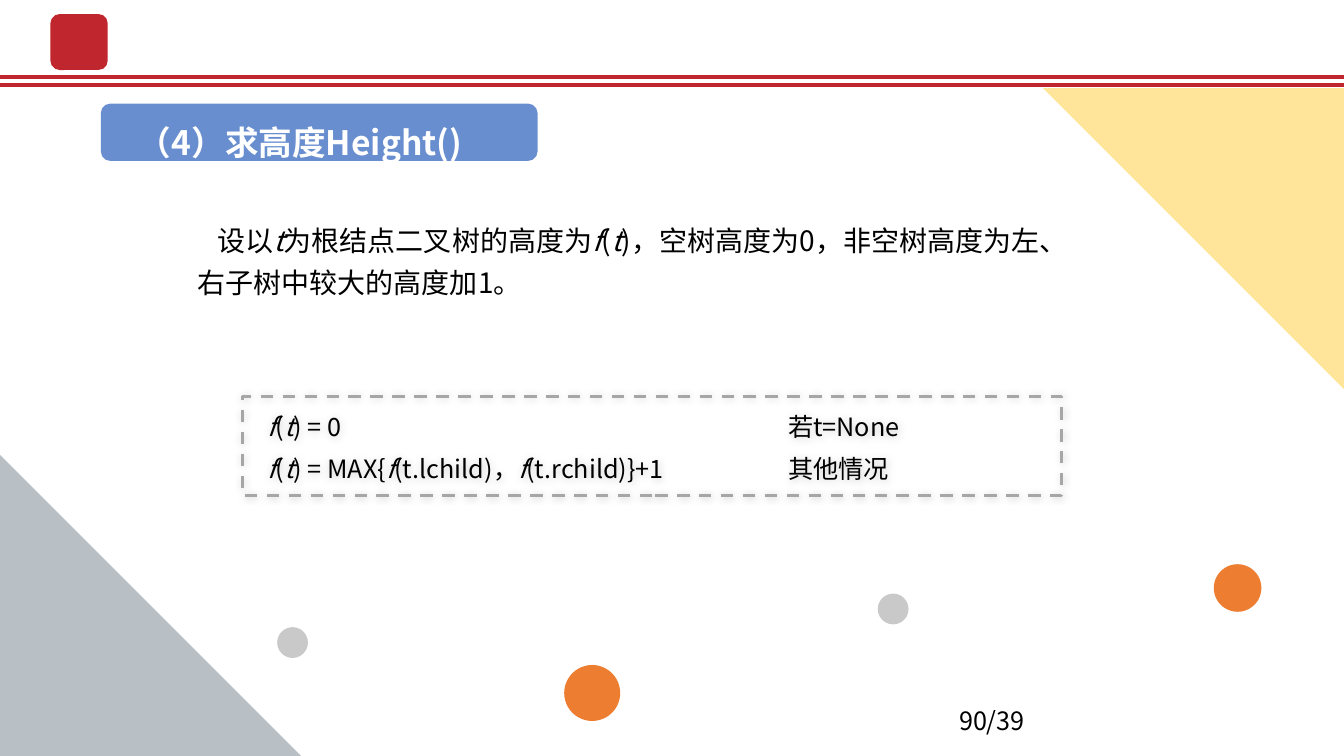
from lxml import etree
from pptx import Presentation
from pptx.dml.color import RGBColor
from pptx.enum import dml, shapes, text
from pptx.oxml.ns import qn
from pptx.util import Pt

RED = RGBColor(0xC0, 0x26, 0x2E)
BLUE = RGBColor(0x44, 0x72, 0xC4)
ORANGE = RGBColor(0xED, 0x7D, 0x31)
GOLD = RGBColor(0xFF, 0xC0, 0x00)
SLATE = RGBColor(0x50, 0x62, 0x70)
SILVER = RGBColor(0xC9, 0xC9, 0xC9)
GREY = RGBColor(0xA6, 0xA6, 0xA6)
BLACK = RGBColor(0, 0, 0)
WHITE = RGBColor(0xFF, 0xFF, 0xFF)
FONT = "Noto Sans CJK SC"
MSO = shapes.MSO_SHAPE
W, H = 960, 540


def sub(parent, tag, **attrs):
    return etree.SubElement(parent, qn(tag), {k: str(v) for k, v in attrs.items()})


def add_shape(s, kind, box, color=None, opacity=100):
    sp = s.shapes.add_shape(kind, *map(Pt, box))
    sp.shadow.inherit = False
    sp.line.fill.background()
    if color is None:
        sp.fill.background()
    else:
        sp.fill.solid()
        sp.fill.fore_color.rgb = color
    if opacity < 100:
        clr = sp._element.spPr.find(".//" + qn("a:srgbClr"))
        sub(clr, "a:alpha", val=opacity * 1000)
    return sp


def add_textbox(s, box):
    tf = s.shapes.add_textbox(*map(Pt, box)).text_frame
    tf.word_wrap = True
    return tf


def write(p, parts, **fmt):
    for i, part in enumerate(parts.split("*")):
        if part:
            r = p.add_run()
            r.text = part
            values = {"name": FONT, "italic": i % 2 == 1, **fmt}
            color = values.pop("color", BLACK)
            for key, value in values.items():
                setattr(r.font, key, value)
            r.font.color.rgb = color
            sub(r._r.get_or_add_rPr(), "a:ea", typeface=FONT)


def header(s, x, y, w, h):
    for line_y in (y + h - 6, y + h):
        line = s.shapes.add_connector(shapes.MSO_CONNECTOR.STRAIGHT,
                                      Pt(x), Pt(line_y), Pt(x + w), Pt(line_y))
        line.line.color.rgb = RED
        line.line.width = Pt(3)
        sub(line._element.spPr, "a:effectLst")
    add_shape(s, MSO.ROUNDED_RECTANGLE, (x + 36, y + 10, 41, 40), RED)


def definition(s, x, y, w, h):
    p = add_textbox(s, (x, y, w, h)).paragraphs[0]
    p._p.get_or_add_pPr().set("indent", str(Pt(14)))
    p.line_spacing = Pt(30)
    write(p, "设以*t*为根结点二叉树的高度为*f*(*t*)，空树高度为0，"
             "非空树高度为左、右子树中较大的高度加1。", size=Pt(20))


def formula(s, x, y, w, h):
    sp = add_shape(s, MSO.RECTANGLE, (x, y, w, h))
    sp.line.color.rgb = GREY
    sp.line.width = Pt(2.25)
    sp.line.dash_style = dml.MSO_LINE.DASH
    effects = sp._element.spPr.find(qn("a:effectLst"))
    shadow = sub(effects, "a:outerShdw", blurRad=Pt(6), dist=0, dir=225 * 60000)
    sub(sub(shadow, "a:srgbClr", val="000000"), "a:alpha", val=20000)
    tf = sp.text_frame
    tf.word_wrap = True
    for side, inset in {"left": 17.5, "top": 8.5, "right": 7, "bottom": 8.5}.items():
        setattr(tf, "margin_" + side, Pt(inset))
    cases = ("*f*(*t*) = 0\t若t=None",
             "*f*(*t*) = MAX{*f*(t.lchild)，*f*(t.rchild)}+1\t其他情况")
    for i, case in enumerate(cases):
        p = tf.add_paragraph() if i else tf.paragraphs[0]
        tabs = sub(p._p.get_or_add_pPr(), "a:tabLst")
        sub(tabs, "a:tab", pos=Pt(372), algn="l")
        p.alignment = text.PP_ALIGN.LEFT
        p.line_spacing = Pt(24)
        if i:
            p.space_before = Pt(6)
        write(p, case, size=Pt(18))


def page_number(s, x, y, w, h):
    write(add_textbox(s, (x, y, w, h)).paragraphs[0], "90/39", size=Pt(18))


def heading(s, x, y, w, h):
    add_shape(s, MSO.ROUNDED_RECTANGLE, (x, y, w, h), BLUE, 80)
    tf = add_textbox(s, (x + 19.5, y + 9.5, w - 40, h - 11))
    write(tf.paragraphs[0], "（4）求高度Height()", size=Pt(24), bold=True, color=WHITE)


def decoration(s, x, y, w, h):
    dots = ((627, 424, 22, SILVER), (403, 475, 40, ORANGE),
            (198, 448, 22, SILVER), (867, 403, 34, ORANGE))
    for left, top, size, color in dots:
        add_shape(s, MSO.OVAL, (x + left, y + top, size, size), color)
    side = 215
    add_shape(s, MSO.RIGHT_TRIANGLE, (x, y + h - side, side, side), SLATE, 40)
    corner = add_shape(s, MSO.RIGHT_TRIANGLE,
                       (x + w - side, y + 63, side, side), GOLD, 40)
    corner.rotation = 180


def main():
    prs = Presentation()
    prs.slide_width, prs.slide_height = Pt(W), Pt(H)
    s = prs.slides.add_slide(prs.slide_layouts[6])
    header(s, 0, 0, W, 61)
    definition(s, 134, 150, 643, 68)
    formula(s, 173.5, 283, 585, 71)
    page_number(s, 678, 500, 216, 29)
    heading(s, 72, 74, 312, 41)
    decoration(s, 0, 0, W, H)
    prs.save("out.pptx")


if __name__ == "__main__":
    main()
